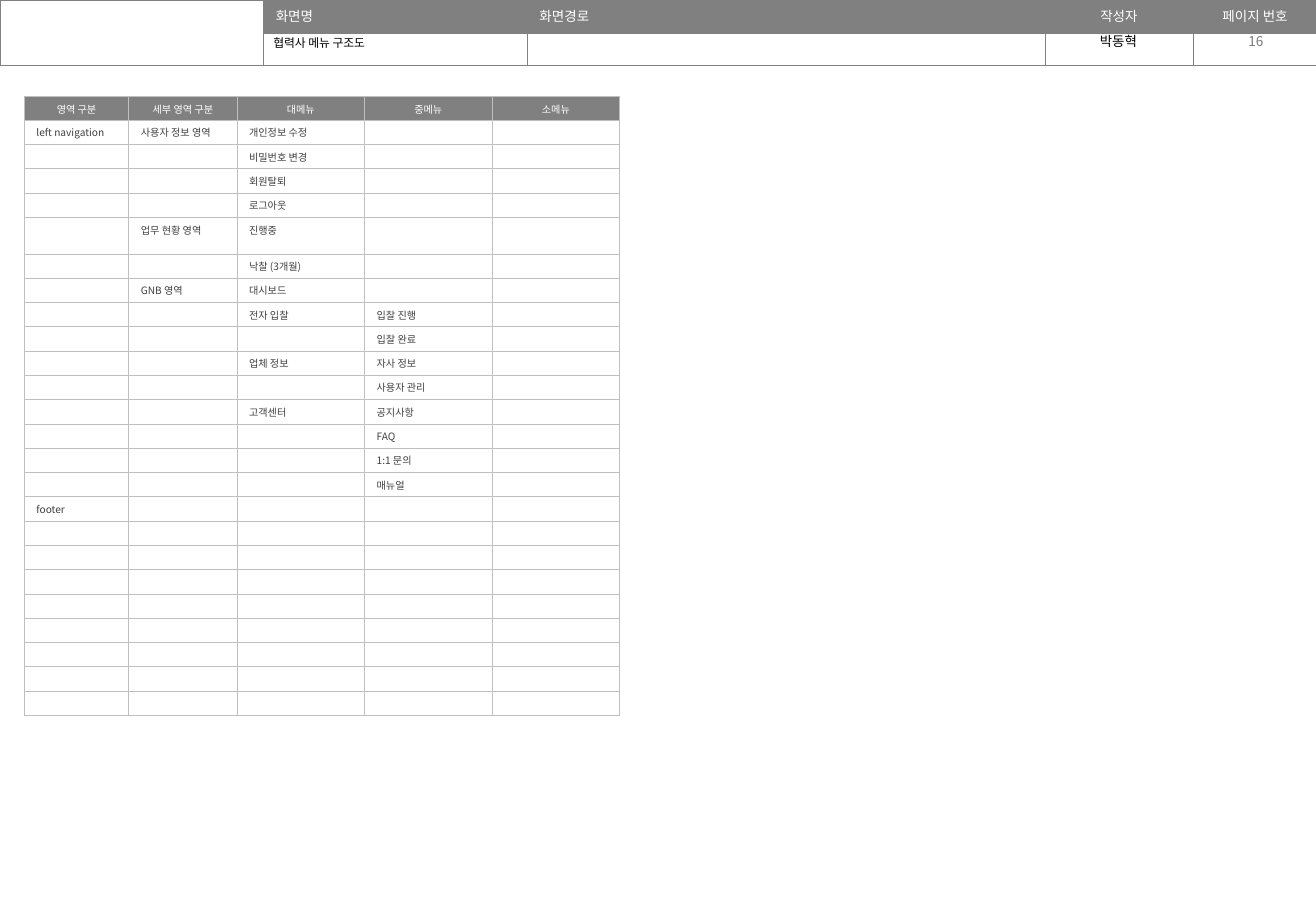
"""Build the partner menu structure slide."""
from dataclasses import dataclass

from lxml.etree import SubElement
from pptx import Presentation
from pptx.dml.color import RGBColor
from pptx.enum.text import MSO_ANCHOR, PP_ALIGN
from pptx.oxml.ns import qn
from pptx.util import Inches, Pt

HEX = {"gray": "808080", "line": "BFBFBF", "white": "FFFFFF",
       "ink": "404040", "black": "000000", "page": "797979"}
NOTO = "Noto Sans CJK KR"
LEFT, MID = PP_ALIGN.LEFT, PP_ALIGN.CENTER
TOP, HALF = MSO_ANCHOR.TOP, MSO_ANCHOR.MIDDLE


@dataclass
class Style:
    """Look of a piece of text."""
    size: float
    color: str
    align: PP_ALIGN = LEFT
    anchor: MSO_ANCHOR = TOP
    font: str = NOTO


@dataclass
class Grid:
    """Place, sizes and look of a table."""
    left: float
    top: float
    cols: list[float]
    rows: list[float]
    texts: list[list[str]]
    line: str
    width: float
    pad: float
    heads: list[Style]
    body: Style
    fill: str | None = None


@dataclass
class Label:
    """Text box with its place and look."""
    text: str
    left: float
    top: float
    width: float
    height: float
    style: Style


HEAD = [Style(8, "white", align) for align in (LEFT, LEFT, LEFT, MID, MID)]
BAR = Grid(0, 0, [2.17, 2.17, 4.26, 1.22, 1.02], [0.27, 0.27],
           [["", "화면명", "화면경로", "작성자", "페이지 번호"]],
           "gray", 0.25, 0.05, HEAD, Style(8, "black"))

MENU = [
    ["영역 구분", "세부 영역 구분", "대메뉴", "중메뉴", "소메뉴"],
    ["left navigation", "사용자 정보 영역", "개인정보 수정"],
    ["", "", "비밀번호 변경"],
    ["", "", "회원탈퇴"],
    ["", "", "로그아웃"],
    ["", "업무 현황 영역", "진행중"],
    ["", "", "낙찰 (3개월)"],
    ["", "GNB 영역", "대시보드"],
    ["", "", "전자 입찰", "입찰 진행"],
    ["", "", "", "입찰 완료"],
    ["", "", "업체 정보", "자사 정보"],
    ["", "", "", "사용자 관리"],
    ["", "", "고객센터", "공지사항"],
    ["", "", "", "FAQ"],
    ["", "", "", "1:1 문의"],
    ["", "", "", "매뉴얼"],
    ["footer"],
]
TREE = Grid(0.2, 0.79, [0.86, 0.89] + [1.05] * 3,
            [0.2] * 5 + [0.3] + [0.2] * 19, MENU, "line", 0.5, 0.04,
            [Style(6, "white", MID, HALF)] * 5, Style(6, "ink"), "white")

TITLE = Label("협력사 메뉴 구조도", 2.15, 0.24, 2.22, 0.22,
              Style(7, "black", font="Karla"))
NOTES = [
    Label("박동혁", 8.59, 0.22, 1.23, 0.24, Style(8, "black", MID)),
    Label("16", 9.83, 0.22, 1.01, 0.24, Style(8, "page", MID, HALF)),
]


def write(frame, text: str, style: Style) -> None:
    """Put one styled run, or a sized empty line, in a frame."""
    para = frame.paragraphs[0]
    para.alignment = style.align
    if not text:
        SubElement(para._p, qn("a:endParaRPr"), sz=str(style.size * 100))
        return
    run = para.add_run()
    run.text = text
    run.font.size = Pt(style.size)
    run.font.bold = False
    run.font.name = style.font
    run.font.color.rgb = RGBColor.from_string(HEX[style.color])
    SubElement(run._r.get_or_add_rPr(), qn("a:ea"), typeface=style.font)


def edge(cell, color: str, width: float) -> None:
    """Draw the four borders of a cell."""
    props = cell._tc.get_or_add_tcPr()
    for side in ("lnL", "lnR", "lnT", "lnB"):
        line = SubElement(props, qn(f"a:{side}"), w=str(Pt(width)))
        fill = SubElement(line, qn("a:solidFill"))
        SubElement(fill, qn("a:srgbClr"), val=HEX[color])


def paint(cell, color: str | None) -> None:
    """Fill a cell, or leave it clear."""
    if color is None:
        cell.fill.background()
        return
    cell.fill.solid()
    cell.fill.fore_color.rgb = RGBColor.from_string(HEX[color])


def draw(slide, grid: Grid):
    """Add a table and return it."""
    table = slide.shapes.add_table(
        len(grid.rows), len(grid.cols), Inches(grid.left), Inches(grid.top),
        Inches(sum(grid.cols)), Inches(sum(grid.rows))).table
    table.first_row = table.horz_banding = False
    for col, width in zip(table.columns, grid.cols):
        col.width = Inches(width)
    for y, row in enumerate(table.rows):
        row.height = Inches(grid.rows[y])
        texts = grid.texts[y] if y < len(grid.texts) else []
        for x, cell in enumerate(row.cells):
            text = texts[x] if x < len(texts) else ""
            style = grid.body if y else grid.heads[x]
            cell.margin_top = Inches(grid.pad)
            cell.margin_bottom = Inches(0.03)
            cell.vertical_anchor = style.anchor
            write(cell.text_frame, text, style)
            edge(cell, grid.line, grid.width)
            paint(cell, "gray" if text and not y else grid.fill)
    return table


def place(shape, label: Label) -> None:
    """Move a shape and write its label."""
    shape.left, shape.top = Inches(label.left), Inches(label.top)
    shape.width, shape.height = Inches(label.width), Inches(label.height)
    frame = shape.text_frame
    frame.word_wrap = True
    frame.vertical_anchor = label.style.anchor
    write(frame, label.text, label.style)


def main() -> None:
    """Make the deck and save it."""
    deck = Presentation()
    deck.slide_width, deck.slide_height = Inches(10.83), Inches(7.5)
    slide = deck.slides.add_slide(deck.slide_layouts[5])
    bar = draw(slide, BAR)
    bar.cell(0, 0).merge(bar.cell(1, 0))
    for note in NOTES:
        place(slide.shapes.add_textbox(0, 0, 0, 0), note)
    place(slide.shapes.title, TITLE)
    draw(slide, TREE)
    deck.save("out.pptx")


if __name__ == "__main__":
    main()
